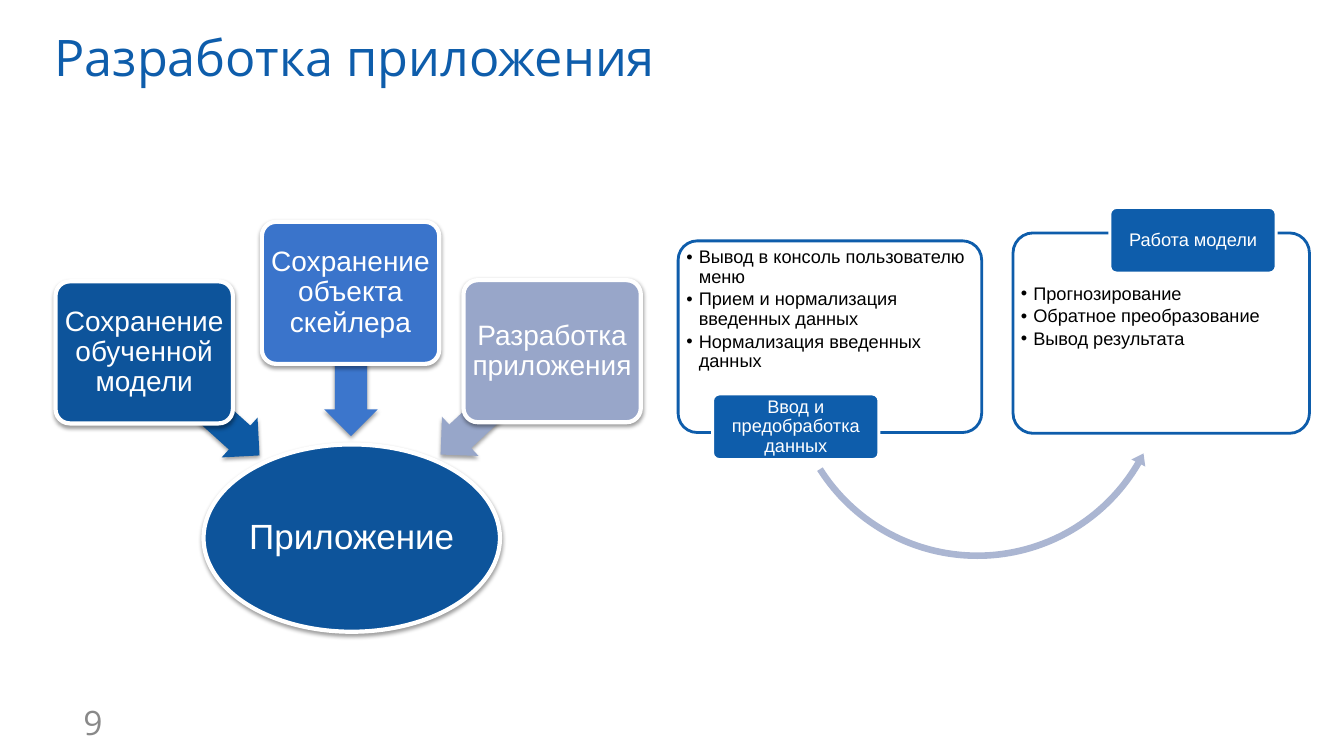
from dataclasses import dataclass

from lxml import etree
from pptx import Presentation
from pptx import util as u
from pptx.dml import color
from pptx.enum import shapes, text
from pptx.oxml import ns


@dataclass(frozen=True)
class Theme:
    heading_font: str = "Open Sans"
    body_font: str = "Arial"
    blue: str = "0E5DAB"
    deep_blue: str = "0D549B"
    arrow_blue: str = "0D59A3"
    bright_blue: str = "3A74CB"
    bright_arrow: str = "3C76CC"
    pale_blue: str = "98A6C9"
    pale_arrow: str = "97A6C9"
    arc: str = "ABB6D2"
    grey: str = "898989"
    white: str = "FFFFFF"
    black: str = "000000"
    title_size: int = 36
    result_size: int = 25
    number_size: int = 24
    stage_size: int = 20
    detail_size: int = 13


theme = Theme()
KIND = shapes.MSO_SHAPE
ALIGN = text.PP_ALIGN
ANCHOR = text.MSO_ANCHOR


def write_text(shape, lines, *, size, ink=theme.white, font=theme.body_font,
               align=ALIGN.CENTER, anchor=ANCHOR.MIDDLE, inset=(0.1, 0.1),
               line_spacing=0.9, space_after=0, indent=0):
    """Fill a shape with paragraphs; inset is (sides, top and bottom) in cm."""
    frame = shape.text_frame
    frame.word_wrap = True
    frame.auto_size = text.MSO_AUTO_SIZE.NONE
    frame.vertical_anchor = anchor
    frame.margin_left = frame.margin_right = u.Cm(inset[0])
    frame.margin_top = frame.margin_bottom = u.Cm(inset[1])
    frame.text = "\n".join(lines)
    for paragraph in frame.paragraphs:
        paragraph.alignment = align
        paragraph.line_spacing = line_spacing
        paragraph.space_before = u.Pt(0)
        paragraph.space_after = u.Pt(space_after)
        if indent:
            properties = paragraph._p.get_or_add_pPr()
            properties.set("marL", str(u.Cm(indent)))
            properties.set("indent", str(-u.Cm(indent)))
        run_font = paragraph.runs[0].font
        run_font.name = font
        run_font.size = u.Pt(size)
        run_font.color.rgb = color.RGBColor.from_string(ink)


def add_block(kind, at, fill, *, line=None, width=0, adjust=(), rotation=0,
              shadow=False, opacity=None):
    """Add a preset shape at (left, top, width, height) in cm."""
    shape = slide.shapes.add_shape(kind, *map(u.Cm, at))
    shape.rotation = rotation
    for index, value in enumerate(adjust):
        shape.adjustments[index] = value
    shape.fill.solid()
    shape.fill.fore_color.rgb = color.RGBColor.from_string(fill)
    properties = shape._element.spPr
    if opacity:
        fill_color = properties.find(ns.qn("a:solidFill"))[0]
        etree.SubElement(fill_color, ns.qn("a:alpha"), val=str(opacity * 1000))
    if line:
        shape.line.color.rgb = color.RGBColor.from_string(line)
        shape.line.width = u.Pt(width)
    else:
        shape.line.fill.background()
    shape.shadow.inherit = False
    if shadow:
        outer = etree.SubElement(
            properties.find(ns.qn("a:effectLst")), ns.qn("a:outerShdw"),
            blurRad=str(u.Pt(3.1)), dist=str(u.Pt(1.6)), dir="5400000", rotWithShape="0")
        tint = etree.SubElement(outer, ns.qn("a:srgbClr"), val=theme.black)
        etree.SubElement(tint, ns.qn("a:alpha"), val="38000")
    return shape


# Slide with a title and two list placeholders
presentation = Presentation()
presentation.slide_width, presentation.slide_height = u.Cm(33.87), u.Cm(19.05)
slide = presentation.slides.add_slide(presentation.slide_layouts[3])
title, *lists = slide.placeholders

# Title and slide number
title.left, title.top, title.width, title.height = map(u.Cm, (1.12, 0.36, 31.52, 2.29))
write_text(title, ["Разработка приложения"], size=theme.title_size, ink=theme.blue,
           font=theme.heading_font, align=ALIGN.LEFT, inset=(0.25, 0.13))
number = slide.shapes.add_textbox(*map(u.Cm, (1.85, 17.68, 2.34, 1.02)))
write_text(number, ["9"], size=theme.number_size, ink=theme.grey, font=theme.heading_font,
           align=ALIGN.LEFT, inset=(0.25, 0.13), line_spacing=1)

# Result that the stages lead to
result = add_block(KIND.OVAL, (5.13, 11.2, 7.47, 4.72), theme.deep_blue,
                   line=theme.white, width=3, shadow=True)
write_text(result, ["Приложение"], size=theme.result_size, inset=(0.05, 0.05))

# Stages, each with its arrow to the result
stages = [
    ("Сохранение обученной модели", (1.4, 7.09), theme.deep_blue,
     (3.15, 9.5, 3.89), 222, theme.arrow_blue),
    ("Сохранение объекта скейлера", (6.6, 5.59), theme.bright_blue,
     (7.04, 8.51, 3.61), 270, theme.bright_arrow),
    ("Разработка приложения", (11.68, 7.06), theme.pale_blue,
     (10.59, 9.47, 3.84), 317, theme.pale_arrow),
]
for name, corner, fill, arrow_at, angle, arrow_fill in stages:
    add_block(KIND.LEFT_ARROW, (*arrow_at, 1.35), arrow_fill, adjust=(0.6, 0.5),
              rotation=angle, shadow=True)
    stage = add_block(KIND.ROUNDED_RECTANGLE, (*corner, 4.47, 3.58), fill,
                      line=theme.white, width=3, adjust=(0.1,), shadow=True)
    write_text(stage, [name], size=theme.stage_size)

# Curved arrow between the two cards
add_block(KIND.LEFT_CIRCULAR_ARROW, (19.74, 4.42, 9.78, 9.78), theme.arc,
          adjust=(0.017, 2.005, 18.098, 88.583, 0.02))

# Cards with a list and a label
cards = [
    ("Ввод и предобработка данных", (17.96, 9.93),
     (17.09, 6.07, 7.65, 4.83), (17.22, 6.17, 7.42, 3.58),
     ["Вывод в консоль пользователю меню", "Прием и нормализация введенных данных",
      "Нормализация введенных данных"]),
    ("Работа модели", (27.97, 5.23),
     (25.53, 5.87, 7.47, 5.05), (25.65, 7.09, 7.24, 3.76),
     ["Прогнозирование", "Обратное преобразование", "Вывод результата"]),
]
for placeholder, (name, corner, card_at, list_at, items) in zip(lists, cards):
    add_block(KIND.ROUNDED_RECTANGLE, card_at, theme.white, line=theme.blue, width=2,
              adjust=(0.1,), opacity=90)
    placeholder.left, placeholder.top, placeholder.width, placeholder.height = map(u.Cm, list_at)
    write_text(placeholder, items, size=theme.detail_size, ink=theme.black, align=ALIGN.LEFT,
               anchor=ANCHOR.TOP, inset=(0.08, 0.08), space_after=2, indent=0.31)
    slide.shapes._spTree.append(placeholder._element)  # bring the list above its card
    label = add_block(KIND.ROUNDED_RECTANGLE, (*corner, 4.19, 1.65), theme.blue,
                      line=theme.white, width=2, adjust=(0.1,))
    write_text(label, [name], size=theme.detail_size, inset=(0.08, 0.05))

presentation.save("out.pptx")
